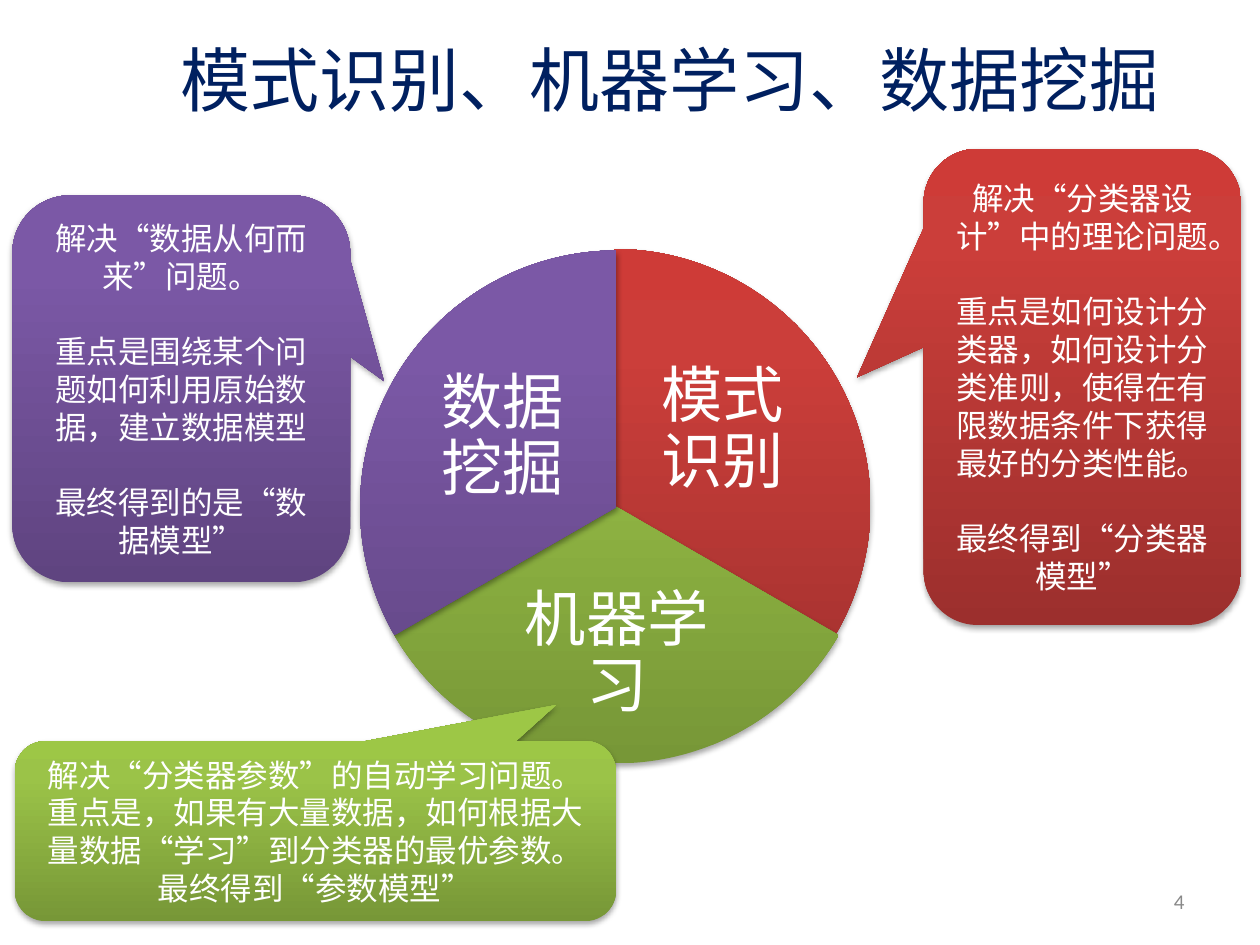
from lxml import etree
from pptx import Presentation
from pptx import util as u
from pptx.dml import color
from pptx.enum import shapes, text
from pptx.oxml import ns

LATIN, CJK = "Calibri", "Noto Sans CJK SC"
WHITE, NAVY, GREY = "FFFFFF", "002060", "898989"
# Gradient stops from the bottom edge to the top edge
RED = ((0, "9C2F2D"), (80, "CB3E3A"), (100, "CE3B37"))
GREEN = ((0, "779737"), (80, "9BC348"), (100, "9DC746"))
PURPLE = ((0, "5F4480"), (80, "7B58A6"), (100, "7C57A8"))
LEFT, CENTER, RIGHT = (text.PP_ALIGN.LEFT, text.PP_ALIGN.CENTER,
                       text.PP_ALIGN.RIGHT)


def rgb(value):
    return color.RGBColor.from_string(value)


def cm(box):
    return [u.Cm(length) for length in box]


def add_child(parent, tag, **attributes):
    return etree.SubElement(parent, ns.qn(tag), attributes)


def style_surface(shape, stops):
    """Vertical gradient, no outline, soft shadow below."""
    shape.line.fill.background()
    shape.fill.gradient()
    shape.fill.gradient_angle = 90
    properties = shape._element.spPr
    stop_list = properties.find(".//" + ns.qn("a:gsLst"))
    for old_stop in list(stop_list):
        stop_list.remove(old_stop)
    for position, value in stops:
        stop = add_child(stop_list, "a:gs", pos=str(position * 1000))
        add_child(stop, "a:srgbClr", val=value)

    shape.shadow.inherit = False
    effects = properties.find(ns.qn("a:effectLst"))
    shadow = add_child(effects, "a:outerShdw", blurRad="40000", dist="23000",
                       dir="5400000", rotWithShape="0")
    tint = add_child(shadow, "a:srgbClr", val="000000")
    add_child(tint, "a:alpha", val="35000")


def write(frame, paragraphs, size, ink=WHITE, font=LATIN, align=CENTER,
          pitch=None, gap=0):
    """Write the paragraphs; pitch and gap are in points."""
    frame.word_wrap = True
    frame.vertical_anchor = text.MSO_ANCHOR.MIDDLE
    for index, wording in enumerate(paragraphs):
        paragraph = frame.add_paragraph() if index else frame.paragraphs[0]
        paragraph.alignment = align
        if pitch:
            paragraph.line_spacing = u.Pt(pitch)
        if index and gap:
            paragraph.space_before = u.Pt(gap)
        run = paragraph.add_run()
        run.text = wording
        run.font.size = u.Pt(size)
        run.font.name = font
        run.font.color.rgb = rgb(ink)


def add_label(slide, box, wording, size, inset=None, **style):
    frame = slide.shapes.add_textbox(*cm(box)).text_frame
    if inset is not None:
        frame.margin_left = frame.margin_right = u.Cm(inset)
        frame.margin_top = frame.margin_bottom = u.Cm(inset)
    write(frame, [wording], size, **style)


def add_disc(slide, box):
    """Three equal sectors, each with its own label."""
    left, top, width, height = box
    # wording, gradient, start and end in degrees, sector shift, label box
    sectors = (
        ("模式识别", RED, 270, 30, (-0.05, -0.03), (5.56, 1.88, 3.51, 3.45)),
        ("机器学习", GREEN, 30, 150, (0, 0), (2.84, 6.53, 4.67, 3.2)),
        ("数据挖掘", PURPLE, 150, 270, (0, 0), (1.12, 2.03, 3.51, 3.45)),
    )
    for wording, stops, start, end, (dx, dy), label in sectors:
        sector = slide.shapes.add_shape(
            shapes.MSO_SHAPE.PIE, *cm((left + dx, top + dy, width, height)))
        # The angle guides count 60000 units to the degree
        sector.adjustments[0] = start * 0.6
        sector.adjustments[1] = end * 0.6
        style_surface(sector, stops)
        x, y, label_width, label_height = label
        add_label(slide, (left + x, top + y, label_width, label_height),
                  wording, 35, inset=0.13, pitch=37.7)


def add_callout(slide, box, stops, tip, paragraphs, gap=0):
    """Rounded callout; tip is measured from its centre in box sizes."""
    callout = slide.shapes.add_shape(
        shapes.MSO_SHAPE.ROUNDED_RECTANGULAR_CALLOUT, *cm(box))
    for index, value in enumerate((*tip, 0.17)):
        callout.adjustments[index] = value
    style_surface(callout, stops)
    write(callout.text_frame, paragraphs, 18, pitch=21.6, gap=gap)


def main():
    deck = Presentation()
    deck.slide_width, deck.slide_height = u.Cm(25.4), u.Cm(19.05)
    slide = deck.slides.add_slide(deck.slide_layouts[6])

    # Title
    add_label(slide, (3.38, 0, 22.02, 3.18), "模式识别、机器学习、数据挖掘", 40,
              ink=NAVY, font=CJK, align=LEFT)

    # Three fields
    add_disc(slide, (7.26, 5.05, 10.34, 10.34))

    # Slide number
    add_label(slide, (18.21, 17.65, 5.92, 1.02), "4", 12,
              ink=GREY, align=RIGHT)

    # Data mining
    add_callout(slide, (0.25, 3.94, 6.81, 7.8), PURPLE, (0.6, -0.02), (
        "解决“数据从何而来”问题。",
        "重点是围绕某个问题如何利用原始数据，建立数据模型",
        "最终得到的是“数据模型”",
    ), gap=21.6)

    # Machine learning
    add_callout(slide, (0.3, 14.94, 12.12, 3.63), GREEN, (0.4, -0.7), (
        "解决“分类器参数”的自动学习问题。",
        "重点是，如果有大量数据，如何根据大量数据“学习”到分类器的最优参数。",
        "最终得到“参数模型”",
    ))

    # Pattern recognition
    add_callout(slide, (18.62, 3, 6.4, 9.6), RED, (-0.71, -0.02), (
        "解决“分类器设计”中的理论问题。",
        "重点是如何设计分类器，如何设计分类准则，使得在有限数据条件下获得最好的分类性能。",
        "最终得到“分类器模型”",
    ), gap=21.6)

    deck.save("out.pptx")


if __name__ == "__main__":
    main()
